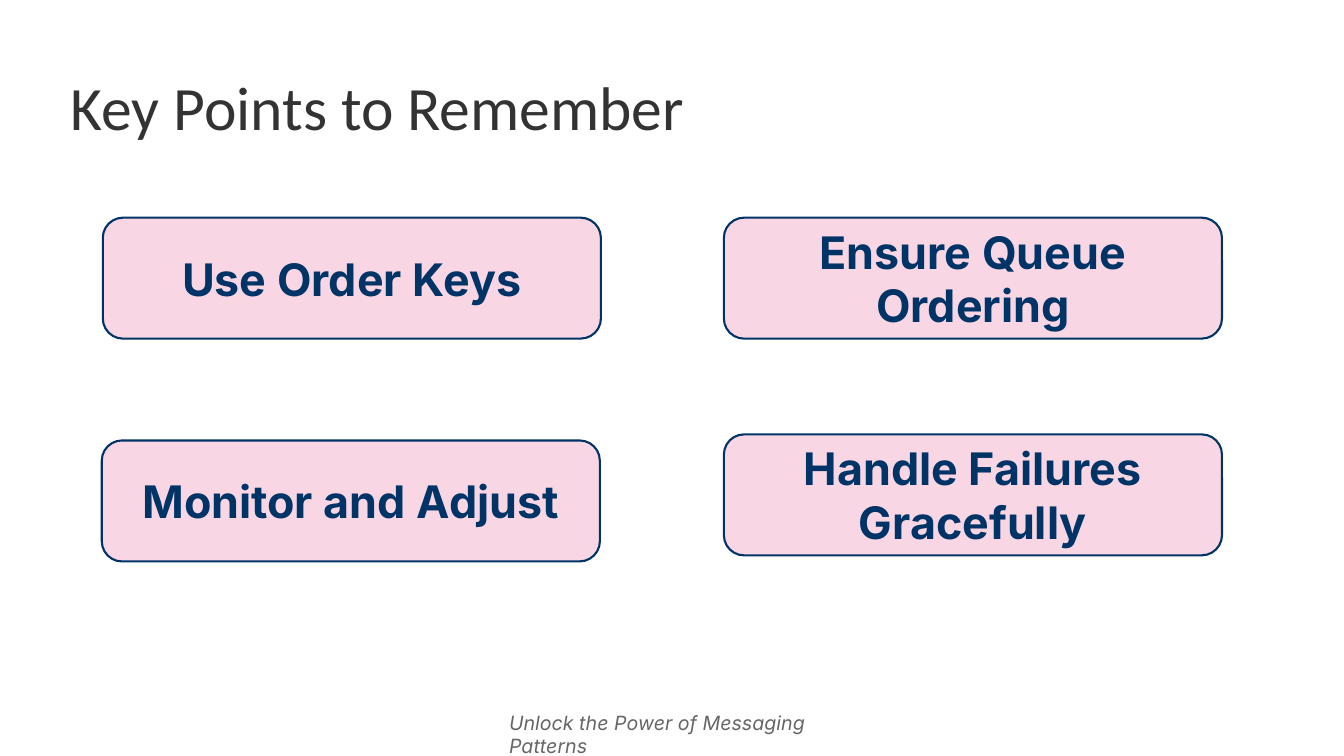
from lxml import etree
from pptx import Presentation
from pptx.dml.color import RGBColor
from pptx.enum.shapes import MSO_SHAPE
from pptx.enum.text import MSO_ANCHOR, PP_ALIGN
from pptx.oxml.ns import qn
from pptx.util import Inches, Pt

ROUNDED = MSO_SHAPE.ROUNDED_RECTANGLE
MIDDLE = MSO_ANCHOR.MIDDLE
TOP = MSO_ANCHOR.TOP
LEFT = PP_ALIGN.LEFT
CENTER = PP_ALIGN.CENTER

NAVY = "003366"
PINK = "DD3377"
DARK_GRAY = "333333"
GRAY = "666666"

CARD_WIDTH = 4.94
CARD_HEIGHT = 1.2
KEY_POINTS = [
    ("Use Order Keys", 1.02, 2.16),
    ("Ensure Queue Ordering", 7.18, 2.16),
    ("Monitor and Adjust", 1.01, 4.37),
    ("Handle Failures Gracefully", 7.18, 4.31),
]


def color(hex_value):
    return RGBColor.from_string(hex_value)


def write_text(shape, text, font_name, size, hex_value, anchor=TOP, alignment=LEFT):
    frame = shape.text_frame
    frame.word_wrap = True
    frame.vertical_anchor = anchor
    paragraph = frame.paragraphs[0]
    paragraph.text = text
    paragraph.alignment = alignment
    paragraph.font.name = font_name
    paragraph.font.size = Pt(size)
    paragraph.font.color.rgb = color(hex_value)
    return paragraph


def set_opacity(shape, percent):
    fill_color = shape.fill._xPr.find(qn("a:solidFill"))[0]
    alpha = etree.SubElement(fill_color, qn("a:alpha"))
    alpha.set("val", str(percent * 1000))


def add_title(slide, text):
    box = slide.shapes.add_textbox(Inches(0.6), Inches(0.5), Inches(12.14), Inches(1.2))
    paragraph = write_text(box, text, "Calibri", 44, DARK_GRAY, anchor=MIDDLE)
    paragraph.line_spacing = 0.9


def add_footer(slide, text):
    box = slide.shapes.add_textbox(Inches(4.95), Inches(7), Inches(3.42), Inches(0.34))
    paragraph = write_text(box, text, "Inter", 14, GRAY)
    paragraph.font.italic = True


def add_card(slide, text, left, top):
    card = slide.shapes.add_shape(
        ROUNDED, Inches(left), Inches(top), Inches(CARD_WIDTH), Inches(CARD_HEIGHT)
    )
    card.shadow.inherit = False
    card.fill.solid()
    card.fill.fore_color.rgb = color(PINK)
    set_opacity(card, 20)
    card.line.color.rgb = color(NAVY)
    card.line.width = Pt(1.5)
    paragraph = write_text(card, text, "Inter", 32, NAVY, MIDDLE, CENTER)
    paragraph.font.bold = True


def main():
    presentation = Presentation()
    presentation.slide_width = Inches(13.33)
    presentation.slide_height = Inches(7.5)
    slide = presentation.slides.add_slide(presentation.slide_layouts[6])
    slide.background.fill.solid()
    slide.background.fill.fore_color.rgb = color("FFFFFF")
    add_footer(slide, "Unlock the Power of Messaging Patterns")
    add_title(slide, "Key Points to Remember")
    for text, left, top in KEY_POINTS:
        add_card(slide, text, left, top)
    presentation.save("out.pptx")


if __name__ == "__main__":
    main()
